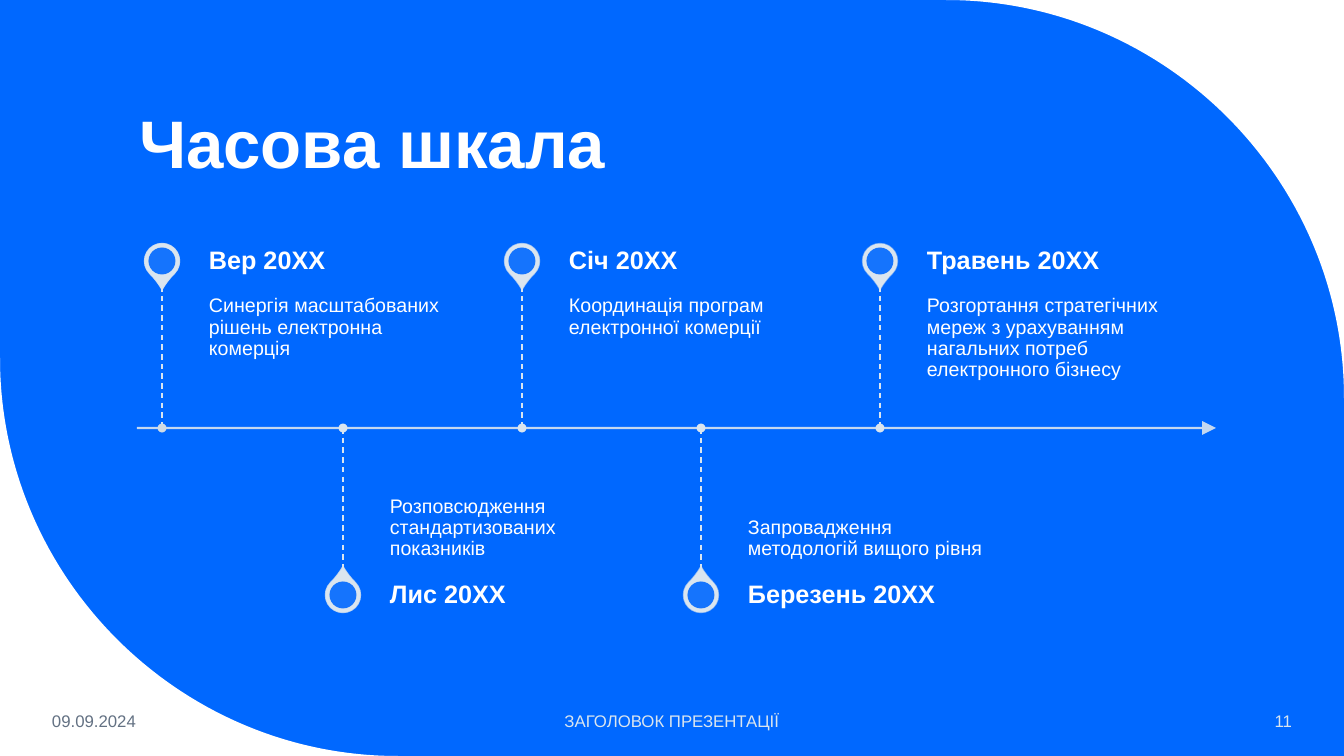
import lxml.etree
import pptx
import pptx.dml.color
import pptx.enum.dml
import pptx.enum.shapes
import pptx.enum.text
import pptx.oxml.ns
import pptx.util

TITLE = "Часова шкала"
MILESTONES = [  # centre of the pin, heading, body
    (162, "Вер 20ХХ", "Синергія масштабованих рішень електронна комерція"),
    (343, "Лис 20ХХ", "Розповсюдження стандартизованих показників"),
    (522, "Січ 20ХХ", "Координація програм електронної комерції"),
    (701, "Березень 20ХХ", "Запровадження методологій вищого рівня"),
    (880, "Травень 20ХХ",
     "Розгортання стратегічних мереж з урахуванням нагальних потреб електронного бізнесу"),
]
ALIGN = pptx.enum.text.PP_ALIGN
FOOTERS = [  # text, left, width, alignment, colour
    ("09.09.2024", 42, 188, ALIGN.LEFT, "637183"),
    ("ЗАГОЛОВОК ПРЕЗЕНТАЦІЇ", 445, 454, ALIGN.CENTER, "DAE5EF"),
    ("11", 1119, 183, ALIGN.RIGHT, "DAE5EF"),
]
BLUE, WHITE, PALE = "0068FF", "FFFFFF", "DAE5EF"
FONT = "Arial"

PX = 914400 / 100.8
WIDTH, HEIGHT, RADIUS = 1344, 756, 398
HANDLE = 0.55  # share of the radius that makes a Bézier quarter circle
AXIS_Y, AXIS_LEFT, AXIS_RIGHT = 428, 137, 1216
STEM, HEAD_H, TEXT_GAP, TEXT_W = 142, 50, 48, 255
PIN, HOLE, DOT = 35, 27, 9

SHAPE = pptx.enum.shapes.MSO_SHAPE
ANCHOR = pptx.enum.text.MSO_ANCHOR
qn = pptx.oxml.ns.qn


def px(n):
    return pptx.util.Emu(round(n * PX))


def rgb(color):
    return pptx.dml.color.RGBColor.from_string(color)


def paint(sp, color):
    """Give a flat fill with neither line nor shadow."""
    sp.shadow.inherit = False
    sp.fill.solid()
    sp.fill.fore_color.rgb = rgb(color)
    sp.line.fill.background()


def set_opacity(fill_parent, percent):
    clr = fill_parent.find(qn("a:solidFill")).find(qn("a:srgbClr"))
    lxml.etree.SubElement(clr, qn("a:alpha"), val=str(percent * 1000))


def add_line(slide, x1, y1, x2, y2, width):
    line = slide.shapes.add_connector(
        pptx.enum.shapes.MSO_CONNECTOR.STRAIGHT, px(x1), px(y1), px(x2), px(y2))
    line.line.color.rgb = rgb(PALE)
    line.line.width = pptx.util.Pt(width)
    lxml.etree.SubElement(line.element.spPr, qn("a:effectLst"))
    return line


def add_centred(slide, kind, x, y, size, color):
    sp = slide.shapes.add_shape(kind, px(x - size / 2), px(y - size / 2), px(size), px(size))
    paint(sp, color)
    return sp


def write(sp, text, size, color=WHITE, bold=False, anchor=ANCHOR.MIDDLE,
          align=ALIGN.LEFT, insets=(10, 5, 10, 5), spacing=0.9):
    tf = sp.text_frame
    tf.text = text
    tf.word_wrap = True
    tf.auto_size = pptx.enum.text.MSO_AUTO_SIZE.NONE
    tf.vertical_anchor = anchor
    tf.margin_left, tf.margin_top, tf.margin_right, tf.margin_bottom = map(px, insets)
    p = tf.paragraphs[0]
    p.alignment = align
    p.line_spacing = spacing
    font = p.runs[0].font
    font.name, font.size, font.bold = FONT, pptx.util.Pt(size), bold
    font.color.rgb = rgb(color)


def add_text(slide, box, *args, **kwargs):
    write(slide.shapes.add_textbox(*map(px, box)), *args, **kwargs)


def add_corners(slide):
    """Cut the top right and bottom left corners with white quarter rounds."""
    left, reach = WIDTH - RADIUS, RADIUS * HANDLE
    top_right = [(left, 0), (left + reach, 0), (WIDTH, RADIUS - reach),
                 (WIDTH, RADIUS), (WIDTH, 0)]
    bottom_left = [(WIDTH - x, HEIGHT - y) for x, y in top_right]
    for points in (top_right, bottom_left):
        emu = [(px(x), px(y)) for x, y in points]
        builder = slide.shapes.build_freeform(*emu[0], scale=1.0)
        builder.add_line_segments(emu[1:], close=True)
        sp = builder.convert_to_shape()
        paint(sp, WHITE)
        # The first three segments become the handles and end of one curve.
        segments = list(sp.element.spPr.iter(qn("a:lnTo")))[:3]
        curve = lxml.etree.Element(qn("a:cubicBezTo"))
        segments[0].addprevious(curve)
        for segment in segments:
            curve.append(segment[0])
            segment.getparent().remove(segment)


def add_milestone(slide, i, x, heading, body):
    above = i % 2 == 0
    side = -1 if above else 1
    pin_y = AXIS_Y + side * (STEM + HEAD_H / 2)

    pin = add_centred(slide, SHAPE.TEAR, x, pin_y, PIN, PALE)
    pin.adjustments[0] = 1.15
    pin.rotation = 135 if above else 315
    pin.line.color.rgb = rgb(PALE)
    pin.line.width = pptx.util.Pt(1)
    set_opacity(pin.element.spPr.find(qn("a:ln")), 90 - 10 * i)
    hole = add_centred(slide, SHAPE.OVAL, x, pin_y, HOLE, BLUE)
    set_opacity(hole.element.spPr, 90)

    left = x + TEXT_GAP - 1
    add_text(slide, (left, AXIS_Y - STEM if above else AXIS_Y, TEXT_W, STEM), body, 14,
             anchor=ANCHOR.TOP if above else ANCHOR.BOTTOM,
             insets=(0, 10, 10, 15) if above else (0, 15, 0, 10))
    add_text(slide, (left, pin_y - HEAD_H / 2, TEXT_W, HEAD_H), heading, 18,
             bold=True, insets=(0, 0, 12, 0))

    stem_end = AXIS_Y + side * STEM
    stem = add_line(slide, x, min(AXIS_Y, stem_end), x, max(AXIS_Y, stem_end), 1)
    stem.line.dash_style = pptx.enum.dml.MSO_LINE.DASH
    add_centred(slide, SHAPE.OVAL, x, AXIS_Y, DOT, "D0DBE4" if i == 0 else PALE)


def main():
    prs = pptx.Presentation()
    prs.slide_width, prs.slide_height = px(WIDTH), px(HEIGHT)
    slide = prs.slides.add_slide(prs.slide_layouts[5])
    slide.background.fill.solid()
    slide.background.fill.fore_color.rgb = rgb(BLUE)
    add_corners(slide)

    title = slide.shapes.title
    title.left, title.top, title.width, title.height = map(px, (129, 42, 1078, 146))
    write(title, TITLE, 48, bold=True, anchor=ANCHOR.BOTTOM)

    axis = add_line(slide, AXIS_LEFT, AXIS_Y, AXIS_RIGHT, AXIS_Y, 1.5)
    ln = axis.element.spPr.find(qn("a:ln"))
    set_opacity(ln, 90)
    lxml.etree.SubElement(ln, qn("a:tailEnd"), type="triangle", w="lg", len="lg")
    for i, milestone in enumerate(MILESTONES):
        add_milestone(slide, i, *milestone)

    for text, left, width, align, color in FOOTERS:
        add_text(slide, (left, 701, width, 40), text, 12, color, align=align, spacing=1.0)
    prs.save("out.pptx")


if __name__ == "__main__":
    main()
